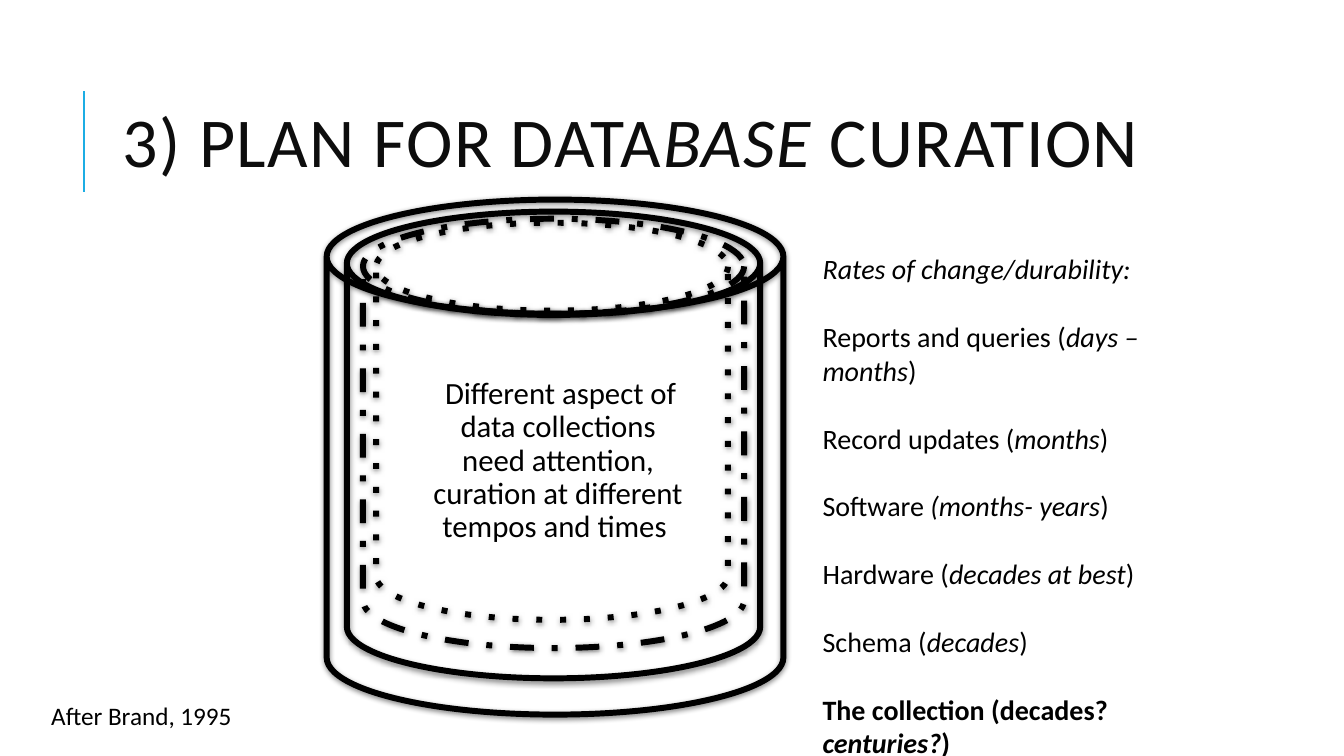
from dataclasses import dataclass

from lxml import etree
from pptx import Presentation
from pptx import util as u
from pptx.dml.color import RGBColor
from pptx.enum import shapes, text
from pptx.oxml.ns import qn


@dataclass(frozen=True)
class Theme:
    font: str = "Calibri"
    ink: str = "000000"
    title: str = "0D0D0D"
    accent: str = "1CADE4"
    title_size: float = 50
    body_size: float = 22
    rate_size: float = 20
    note_size: float = 18
    rate_gap: float = 24.4
    rule_width: float = 1.5
    can_width: float = 4.25


def apply(target, values):
    for name, value in values.items():
        setattr(target, name, value)


def add_xml(parent, tag, **attrs):
    return etree.SubElement(parent, qn(tag), attrs)


class SlideBuilder:
    def __init__(self, slide, theme):
        self.shapes = slide.shapes
        self.theme = theme

    def set_line(self, line, color, width):
        line.color.rgb = RGBColor.from_string(color)
        line.width = u.Pt(width)

    def add_rule(self, x, start, end):
        ends = [u.Inches(n) for n in (x, start, x, end)]
        cx = self.shapes.add_connector(shapes.MSO_CONNECTOR.STRAIGHT, *ends)
        self.set_line(cx.line, self.theme.accent, self.theme.rule_width)
        add_xml(cx._element.spPr, "a:effectLst")

    def add_can(self, box, dash):
        sp = self.shapes.add_shape(shapes.MSO_SHAPE.CAN, *map(u.Inches, box))
        sp.fill.background()
        self.set_line(sp.line, self.theme.ink, self.theme.can_width)
        sp.shadow.inherit = False
        props = sp._element.spPr
        add_xml(props.find(qn("a:ln")), "a:prstDash", val=dash)
        shadow = add_xml(props.find(qn("a:effectLst")), "a:outerShdw",
                         blurRad=str(u.Pt(4)), dist=str(u.Pt(1)),
                         dir="5400000", rotWithShape="0")
        color = add_xml(shadow, "a:srgbClr", val=self.theme.ink)
        add_xml(color, "a:alpha", val="50000")

    def add_text(self, box, paragraphs, size, color=None, frame=None,
                 para=None, gap=0, bullet=False, tracking=0):
        sp = self.shapes.add_textbox(*map(u.Inches, box))
        tf = sp.text_frame
        apply(tf, {"word_wrap": True, **(frame or {})})
        for i, runs in enumerate(paragraphs):
            p = tf.paragraphs[0] if i == 0 else tf.add_paragraph()
            apply(p, {"space_before": u.Pt(gap if i else 0), **(para or {})})
            if bullet:
                self.add_blank_bullet(p)
            for words, style in runs:
                r = p.add_run()
                r.text = words
                apply(r.font, {"name": self.theme.font, "size": u.Pt(size), **style})
                r.font.color.rgb = RGBColor.from_string(color or self.theme.ink)
                if tracking:
                    r.font._element.set("spc", str(tracking * 100))

    def add_blank_bullet(self, p):
        props = p._p.get_or_add_pPr()
        props.set("marL", str(u.Inches(0.1)))
        props.set("indent", str(u.Inches(-0.1)))
        color = add_xml(props, "a:buClr")
        add_xml(color, "a:srgbClr", val=self.theme.accent)
        add_xml(props, "a:buChar", char=" ")


PLAIN, ITALIC, BOLD = {}, {"italic": True}, {"bold": True}

CANS = [
    ((3.6, 2.17, 3.78, 4.26), "dashDot"),
    ((3.73, 2.21, 3.49, 3.94), "dot"),
    ((3.44, 2.1, 4.1, 4.63), "solid"),
    ((3.24, 1.98, 4.53, 5.11), "solid"),
]

RATES = [
    ("Reports and queries (", "days – months", ")"),
    ("Record updates (", "months", ")"),
    ("Software ", "(months- years", ")"),
    ("Hardware (", "decades at best", ")"),
    ("Schema (", "decades", ")"),
]


def main():
    theme = Theme()
    prs = Presentation()
    apply(prs, {"slide_width": u.Inches(13.33), "slide_height": u.Inches(7.5)})
    s = SlideBuilder(prs.slides.add_slide(prs.slide_layouts[6]), theme)

    s.add_rule(0.83, 1.9, 0.9)
    title = [("3) PLAN FOR DATA", PLAIN), ("BASE ", ITALIC), ("CURATION", PLAIN)]
    s.add_text((1.12, 0.64, 10.63, 1.64), [title], theme.title_size, theme.title,
               frame={"vertical_anchor": text.MSO_ANCHOR.MIDDLE},
               para={"line_spacing": 0.8}, tracking=1)

    aspects = ("Different aspect of data collections need attention, "
               "curation at different tempos and times ")
    sides = ("left", "top", "right", "bottom")
    s.add_text((4.12, 3.7, 2.73, 3.05), [[(aspects, PLAIN)]], theme.body_size,
               frame={f"margin_{side}": u.Inches(0.05) for side in sides},
               para={"alignment": text.PP_ALIGN.CENTER, "line_spacing": 0.9,
                     "space_after": u.Pt(2)}, bullet=True)

    for box, dash in CANS:
        s.add_can(box, dash)

    rates = [[("Rates of change/durability:", ITALIC)]]
    rates += [list(zip(parts, (PLAIN, ITALIC, PLAIN))) for parts in RATES]
    rates.append([("The collection (decades? ", BOLD),
                  ("centuries?", BOLD | ITALIC), (")", BOLD)])
    s.add_text((8.06, 2.45, 4.31, 4.48), rates, theme.rate_size, gap=theme.rate_gap)

    s.add_text((0.41, 6.9, 2.06, 0.4), [[("After Brand, 1995", PLAIN)]],
               theme.note_size, frame={"word_wrap": False})
    prs.save("out.pptx")


if __name__ == "__main__":
    main()
